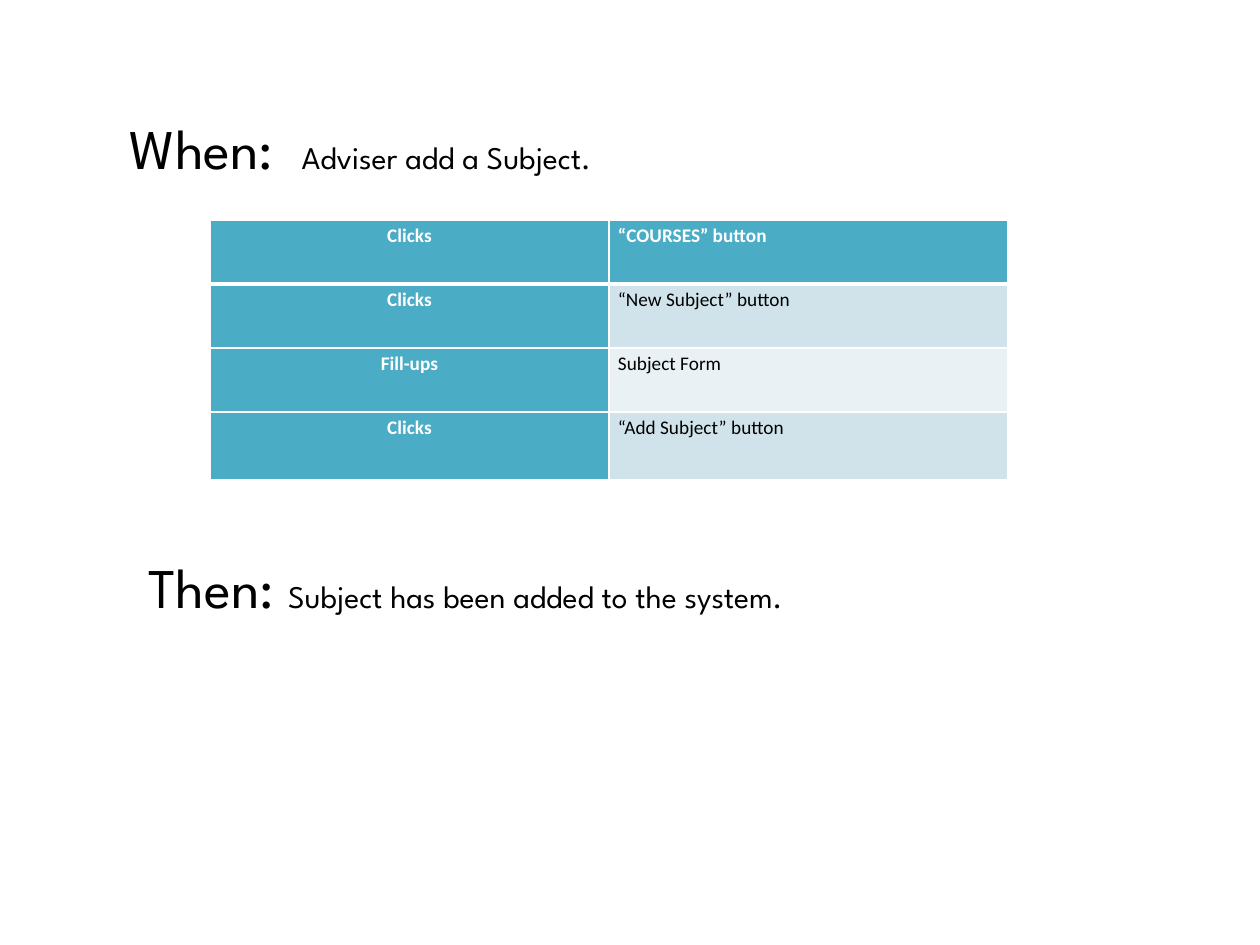
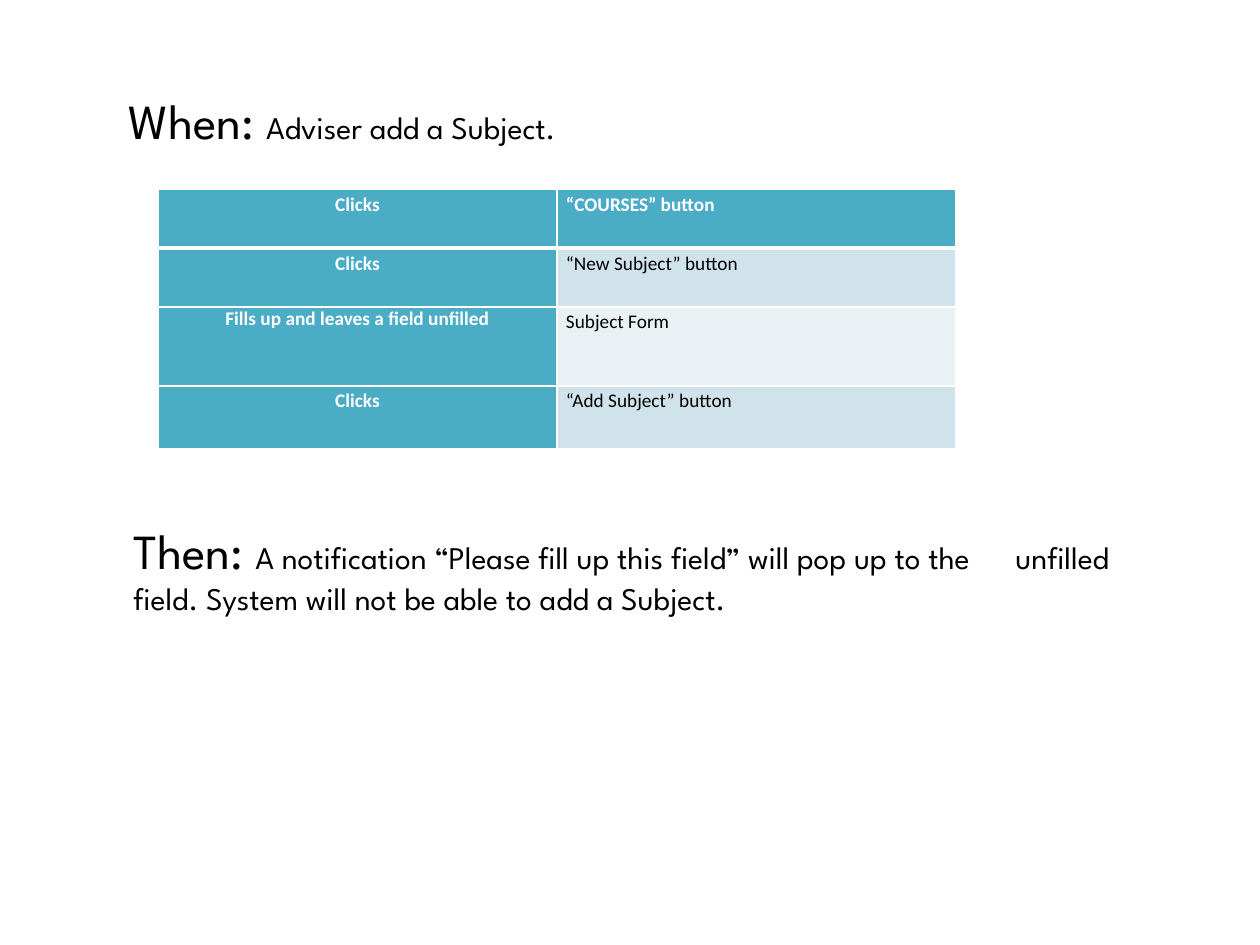
from dataclasses import dataclass

from lxml.etree import SubElement
from pptx import Presentation
from pptx.dml.color import RGBColor
from pptx.enum.text import MSO_ANCHOR, MSO_AUTO_SIZE, PP_ALIGN
from pptx.oxml.ns import qn
from pptx.util import Emu, Pt

SCALE = 914400 // 126  # EMU in one pixel
TITLE_ONLY = 5


@dataclass(frozen=True)
class Theme:
    """Colours, fonts and type sizes that the slides share."""
    ink: RGBColor = RGBColor(0, 0, 0)
    white: RGBColor = RGBColor(255, 255, 255)
    accent: RGBColor = RGBColor(0x4B, 0xAC, 0xC6)
    band_dark: RGBColor = RGBColor(0xD0, 0xE3, 0xEA)
    band_light: RGBColor = RGBColor(0xE9, 0xF1, 0xF5)
    display: str = "League Spartan"
    body: str = "Calibri"
    statement_size: int = 18
    cell_size: int = 11
    border: int = 1
    header_border: int = 3


THEME = Theme()


def px(n):
    """Turn pixels into EMU."""
    return Emu(n * SCALE)


def write_statement(shape, box, label, text, label_size, tab=None):
    """Place a shape and write a large label followed by smaller text."""
    shape.left, shape.top, shape.width, shape.height = map(px, box)
    tf = shape.text_frame
    tf.word_wrap = True
    tf.auto_size = MSO_AUTO_SIZE.NONE
    tf.vertical_anchor = MSO_ANCHOR.TOP
    p = tf.paragraphs[0]
    p.alignment = PP_ALIGN.LEFT
    if tab:
        stops = SubElement(p._p.get_or_add_pPr(), qn("a:tabLst"))
        SubElement(stops, qn("a:tab"), pos=str(px(tab)), algn="l")
    p.font.name = THEME.display
    p.font.color.rgb = THEME.ink
    gap = "\t" if tab else " "
    for words, size in ((label + gap, label_size), (text, THEME.statement_size)):
        r = p.add_run()
        r.text = words
        r.font.size = Pt(size)


def set_borders(cell, top, bottom):
    """Draw white borders; the side borders have the common width."""
    tcPr = cell._tc.get_or_add_tcPr()
    widths = {"L": THEME.border, "R": THEME.border, "T": top, "B": bottom}
    for side, width in widths.items():
        ln = SubElement(tcPr, qn(f"a:ln{side}"), w=str(Pt(width)))
        fill = SubElement(ln, qn("a:solidFill"))
        SubElement(fill, qn("a:srgbClr"), val=str(THEME.white))


def format_cell(cell, text, row, col, spacing):
    """Fill one step cell: the header row and first column are accented."""
    accented = row == 0 or col == 0
    set_borders(cell,
                THEME.header_border if row == 1 else THEME.border,
                THEME.header_border if row == 0 else THEME.border)
    cell.fill.solid()
    band = THEME.band_dark if row % 2 else THEME.band_light
    cell.fill.fore_color.rgb = THEME.accent if accented else band
    cell.margin_left = cell.margin_right = px(9)
    cell.margin_top = cell.margin_bottom = 0
    cell.text = text
    p = cell.text_frame.paragraphs[0]
    p.alignment = PP_ALIGN.LEFT if col else PP_ALIGN.CENTER
    p.line_spacing = spacing
    p.font.name = THEME.body
    p.font.size = Pt(THEME.cell_size)
    p.font.bold = accented
    p.font.color.rgb = THEME.white if accented else THEME.ink


def add_steps(s, left, top, heights, fill_action, fill_spacing=1.15):
    """Add the table of steps; only the form-filling action varies."""
    steps = [("Clicks", "“COURSES” button"),
             ("Clicks", "“New Subject” button"),
             (fill_action, "Subject Form"),
             ("Clicks", "“Add Subject” button")]
    table = s.shapes.add_table(len(steps), 2, px(left), px(top),
                               px(798), px(sum(heights))).table
    table.first_row = table.horz_banding = False
    for row, (step, height) in enumerate(zip(steps, heights)):
        table.rows[row].height = px(height)
        for col, text in enumerate(step):
            spacing = fill_spacing if (row, col) == (2, 0) else 1.15
            format_cell(table.cell(row, col), text, row, col, spacing)


def add_scenario(prs, when_box, then_box, outcome, label_size, steps, tab=None):
    """Add a slide with a When title, its steps and a Then outcome."""
    s = prs.slides.add_slide(prs.slide_layouts[TITLE_ONLY])
    write_statement(s.shapes.title, when_box, "When:",
                    "Adviser add a Subject.", label_size, tab)
    add_steps(s, **steps)
    then = s.shapes.add_textbox(*map(px, then_box))
    write_statement(then, then_box, "Then:", outcome, label_size)


def main():
    """Build both scenarios and save the deck."""
    prs = Presentation()
    prs.slide_width, prs.slide_height = px(1260), px(945)
    add_scenario(
        prs, (117, 107, 582, 81), (136, 546, 794, 81),
        "Subject has been added to the system.", 32,
        dict(left=210, top=220, heights=(64, 64, 64, 68),
             fill_action="Fill-ups"),
        tab=172)
    add_scenario(
        prs, (116, 84, 543, 72), (121, 514, 1045, 111),
        "A notification “Please fill up this field” will pop up to the "
        "\tunfilled field. System will not be able to add a Subject.", 28,
        dict(left=158, top=189, heights=(59, 59, 79, 63),
             fill_action="Fills up and leaves a field unfilled",
             fill_spacing=1.0))
    prs.save("out.pptx")


main()
